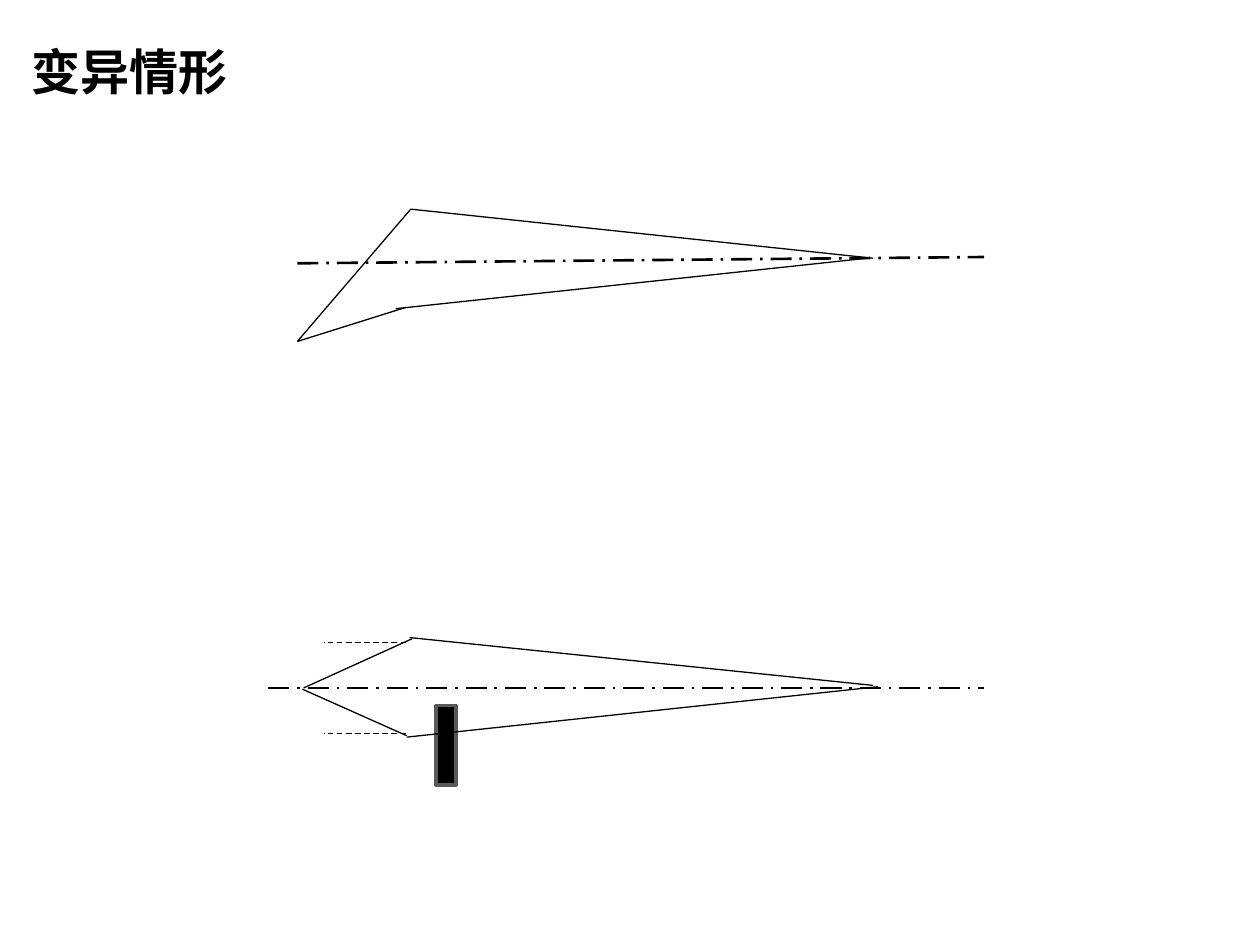
from dataclasses import dataclass

from lxml import etree
from pptx import Presentation
from pptx.dml.color import RGBColor
from pptx.enum.dml import MSO_LINE
from pptx.enum.shapes import MSO_CONNECTOR, MSO_SHAPE
from pptx.enum.text import MSO_ANCHOR
from pptx.oxml.ns import qn
from pptx.util import Inches, Pt

STRAIGHT = MSO_CONNECTOR.STRAIGHT
RECT = MSO_SHAPE.RECTANGLE
TOP = MSO_ANCHOR.TOP
DASH = MSO_LINE.DASH
AXIS = MSO_LINE.LONG_DASH_DOT


@dataclass(frozen=True)
class Theme:
    font: str = "Times New Roman"
    ink: RGBColor = RGBColor(0, 0, 0)
    edge: RGBColor = RGBColor(0x59, 0x59, 0x59)
    title: float = 28
    thin: float = 0.75
    thick: float = 1.5
    frame: float = 2


class Sketch:
    def __init__(self, slide, theme):
        self.slide = slide
        self.theme = theme

    def group(self):
        return self.slide.shapes.add_group_shape()

    def ray(self, group, start, end, dash=None, width=None):
        ends = [Inches(v) for v in (*start, *end)]
        line = group.shapes.add_connector(STRAIGHT, *ends)
        line.line.color.rgb = self.theme.ink
        line.line.width = Pt(width or self.theme.thin)
        if dash is not None:
            line.line.dash_style = dash
        etree.SubElement(line._element.spPr, qn("a:effectLst"))

    def axis(self, group, start, end):
        self.ray(group, start, end, AXIS, self.theme.thick)

    def block(self, group, *place):
        box = group.shapes.add_shape(RECT, *[Inches(v) for v in place])
        box.shadow.inherit = False
        box.fill.solid()
        box.fill.fore_color.rgb = self.theme.ink
        box.line.color.rgb = self.theme.edge
        box.line.width = Pt(self.theme.frame)

    def title(self, text, *place):
        box = self.slide.shapes.add_textbox(*[Inches(v) for v in place])
        frame = box.text_frame
        frame.word_wrap = True
        frame.vertical_anchor = TOP
        run = frame.paragraphs[0].add_run()
        run.text = text
        run.font.name = self.theme.font
        run.font.size = Pt(self.theme.title)
        run.font.bold = True
        run.font.color.rgb = self.theme.ink


def main():
    deck = Presentation()
    deck.slide_width, deck.slide_height = Inches(10), Inches(7.5)
    sketch = Sketch(deck.slides.add_slide(deck.slide_layouts[6]), Theme())

    # Lower figure: axis, dashed guides, rays and the block
    low = sketch.group()
    sketch.axis(low, (2.13, 5.46), (7.81, 5.46))
    for y in (5.1, 5.82):
        sketch.ray(low, (3.22, y), (2.57, y), DASH)
    sketch.ray(low, (2.41, 5.46), (3.27, 5.07))
    sketch.ray(low, (2.4, 5.47), (3.23, 5.84))
    sketch.block(low, 3.46, 5.6, 0.16, 0.63)
    sketch.ray(low, (3.25, 5.06), (6.93, 5.44))
    sketch.ray(low, (3.23, 5.85), (6.97, 5.45))

    # Upper figure: tilted axis and rays from an off-axis point
    high = sketch.group()
    source, peak = (2.36, 2.71), (3.26, 1.66)
    sketch.axis(high, (2.36, 2.09), (7.81, 2.04))
    sketch.ray(high, source, peak)
    sketch.ray(high, source, (3.22, 2.44))
    sketch.ray(high, peak, (6.93, 2.05))
    sketch.ray(high, (3.14, 2.45), (6.88, 2.05))

    # Title
    sketch.title("变异情形", 0.15, 0.28, 9.14, 0.71)

    deck.save("out.pptx")


if __name__ == "__main__":
    main()
